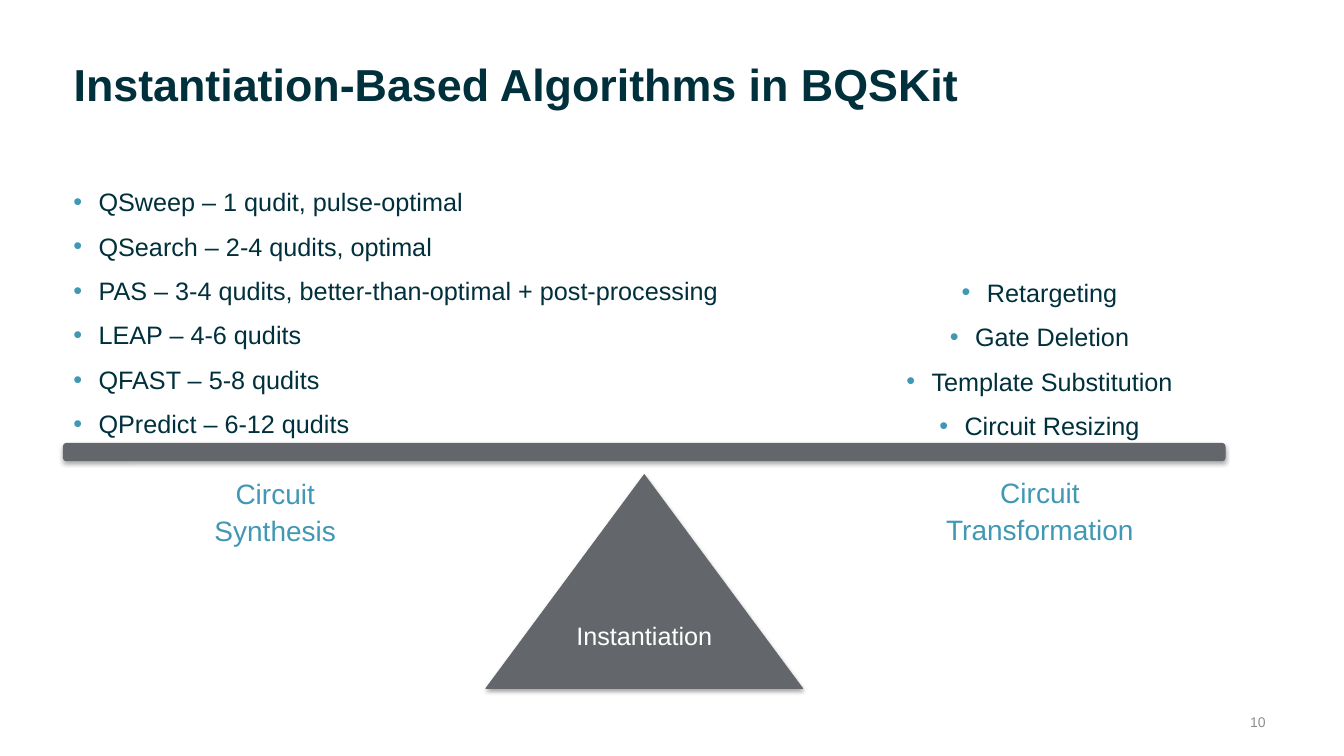
from dataclasses import dataclass

from lxml import etree
from pptx import Presentation
from pptx.dml.color import RGBColor
from pptx.enum.shapes import MSO_SHAPE
from pptx.enum.text import MSO_ANCHOR, MSO_AUTO_SIZE, PP_ALIGN
from pptx.oxml.ns import qn
from pptx.util import Inches, Pt


@dataclass(frozen=True)
class Theme:
    font: str = "Arial"
    title: str = "00303B"
    body: str = "00303C"
    accent: str = "4198B5"
    steel: str = "63666A"
    white: str = "FFFFFF"
    muted: str = "8C8F92"
    title_size: int = 32
    label_size: int = 20
    body_size: int = 18
    number_size: int = 10
    line_spacing: float = 1.1
    space_before: int = 8


THEME = Theme()

SYNTHESIS = [
    "QSweep – 1 qudit, pulse-optimal",
    "QSearch – 2-4 qudits, optimal",
    "PAS – 3-4 qudits, better-than-optimal + post-processing",
    "LEAP – 4-6 qudits",
    "QFAST – 5-8 qudits",
    "QPredict – 6-12 qudits",
]
TRANSFORMATION = ["Retargeting", "Gate Deletion", "Template Substitution", "Circuit Resizing"]


def inches(box):
    return [Inches(length) for length in box]


def style(paragraph, size, color, align=PP_ALIGN.LEFT, bold=False):
    paragraph.alignment = align
    font = paragraph.font
    font.name, font.size, font.bold = THEME.font, Pt(size), bold
    font.color.rgb = RGBColor.from_string(color)


def add_bullet(paragraph, indent=0.25):
    properties = paragraph._p.get_or_add_pPr()
    properties.set("marL", str(Inches(indent)))
    properties.set("indent", str(-Inches(indent)))
    color = etree.SubElement(properties, qn("a:buClr"))
    etree.SubElement(color, qn("a:srgbClr"), val=THEME.accent)
    etree.SubElement(properties, qn("a:buFont"), typeface=THEME.font)
    etree.SubElement(properties, qn("a:buChar"), char="•")


def add_title(slide, box, text):
    title = slide.shapes.title
    title.left, title.top, title.width, title.height = inches(box)
    frame = title.text_frame
    frame.text = text
    frame.auto_size = MSO_AUTO_SIZE.NONE
    frame.vertical_anchor = MSO_ANCHOR.BOTTOM
    frame.margin_top = frame.margin_bottom = 0
    style(frame.paragraphs[0], THEME.title_size, THEME.title, bold=True)


def add_text(slide, box, lines, size, color, align, anchor=MSO_ANCHOR.TOP, bullets=False):
    frame = slide.shapes.add_textbox(*inches(box)).text_frame
    frame.word_wrap = True
    frame.vertical_anchor = anchor
    frame.text = "\n".join(lines)
    for index, paragraph in enumerate(frame.paragraphs):
        paragraph.line_spacing = THEME.line_spacing
        if index:
            paragraph.space_before = Pt(THEME.space_before)
        if bullets:
            add_bullet(paragraph)
        style(paragraph, size, color, align)


def add_algorithms(slide, box, names, align):
    add_text(slide, box, names, THEME.body_size, THEME.body, align, bullets=True)


def add_label(slide, box, text):
    add_text(slide, box, [text], THEME.label_size, THEME.accent,
             PP_ALIGN.CENTER, MSO_ANCHOR.BOTTOM)


def add_steel_part(slide, preset, box):
    part = slide.shapes.add_shape(preset, *inches(box))
    part.fill.solid()
    part.fill.fore_color.rgb = RGBColor.from_string(THEME.steel)
    part.line.color.rgb = RGBColor.from_string(THEME.steel)
    part.line.width = Pt(0.75)
    # Soft shadow straight below
    part.shadow.inherit = False
    effects = part._element.spPr.find(qn("a:effectLst"))
    shadow = etree.SubElement(effects, qn("a:outerShdw"), blurRad=str(Pt(3.1)),
                              dist=str(Pt(1.8)), dir="5400000", rotWithShape="0")
    black = etree.SubElement(shadow, qn("a:srgbClr"), val="000000")
    etree.SubElement(black, qn("a:alpha"), val="35000")
    return part


def add_seesaw(slide, box, text):
    left, top, width, height = box
    beam_height, gap, base = 0.17, 0.14, 3.14
    # Pivot, centred under the beam
    pivot_top = beam_height + gap
    pivot = add_steel_part(slide, MSO_SHAPE.ISOSCELES_TRIANGLE,
                           (left + (width - base) / 2, top + pivot_top,
                            base, height - pivot_top))
    frame = pivot.text_frame
    frame.text = text
    frame.vertical_anchor = MSO_ANCHOR.MIDDLE
    style(frame.paragraphs[0], THEME.body_size, THEME.white, PP_ALIGN.CENTER)
    # Beam
    add_steel_part(slide, MSO_SHAPE.ROUNDED_RECTANGLE, (left, top, width, beam_height))


def add_page_number(slide, box, number):
    add_text(slide, box, [number], THEME.number_size, THEME.muted,
             PP_ALIGN.RIGHT, MSO_ANCHOR.MIDDLE)


def main():
    deck = Presentation()
    deck.slide_width, deck.slide_height = Inches(13.33), Inches(7.5)
    slide = deck.slides.add_slide(deck.slide_layouts[5])

    add_title(slide, (0.63, 0.5, 12, 0.6), "Instantiation-Based Algorithms in BQSKit")
    # Balance and the names of its sides
    add_seesaw(slide, (0.63, 4.4, 11.52, 2.43), "Instantiation")
    add_label(slide, (1.84, 4.8, 1.78, 0.68), "Circuit Synthesis")
    add_label(slide, (9.28, 4.79, 2.07, 0.68), "Circuit Transformation")
    # Algorithms resting on the two ends of the beam
    add_algorithms(slide, (0.63, 1.77, 6.7, 2.46), SYNTHESIS, PP_ALIGN.LEFT)
    add_algorithms(slide, (8.54, 2.67, 3.54, 1.67), TRANSFORMATION, PP_ALIGN.CENTER)
    add_page_number(slide, (12.15, 6.95, 0.5, 0.4), "10")

    deck.save("out.pptx")


if __name__ == "__main__":
    main()
